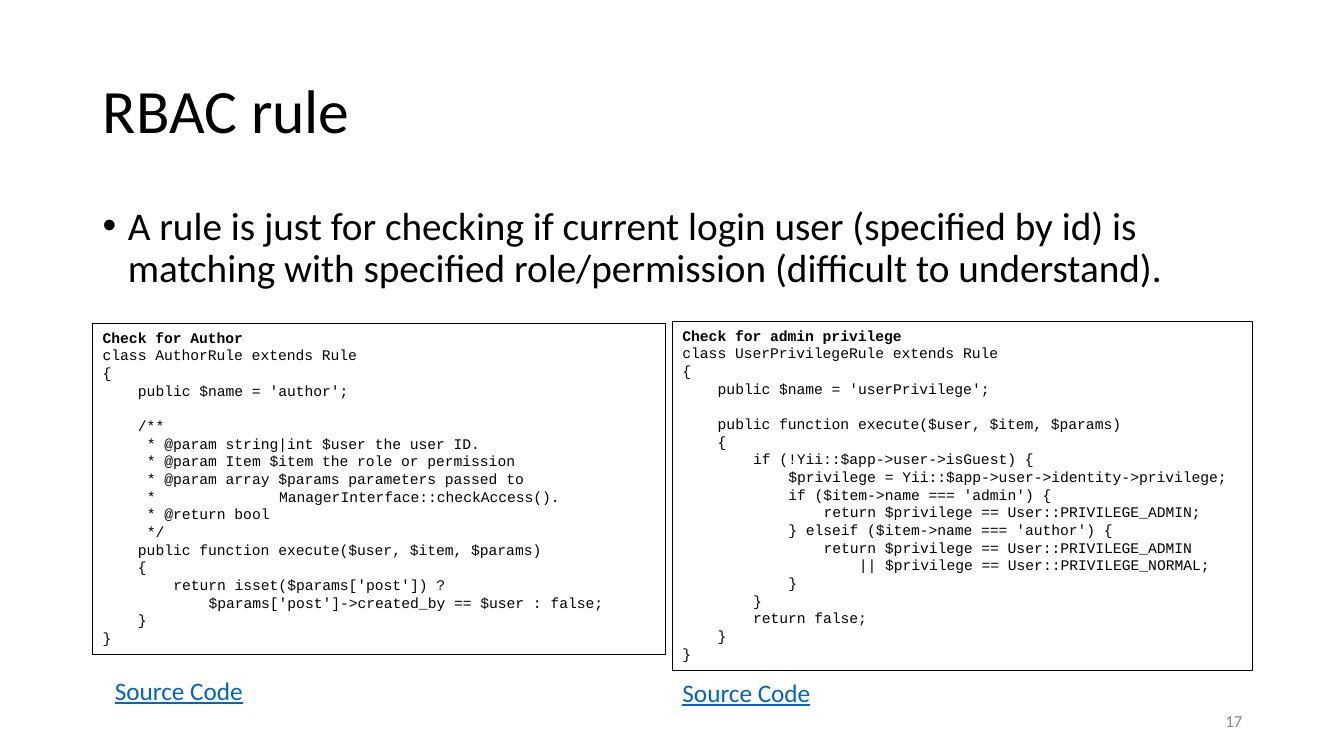
from dataclasses import dataclass
from lxml.etree import SubElement
from pptx import Presentation
from pptx.dml.color import RGBColor as RGB
from pptx.enum.shapes import MSO_SHAPE as Shape
from pptx.enum.text import MSO_ANCHOR as Anchor, PP_ALIGN as Align
from pptx.oxml.ns import qn
from pptx.util import Inches, Pt


@dataclass(frozen=True)
class Theme:
    body: str = "Calibri"
    mono: str = "Courier New"
    ink: RGB = RGB(0, 0, 0)
    link: RGB = RGB(0x05, 0x63, 0xC1)
    grey: RGB = RGB(0x8C, 0x8C, 0x8C)
    title: float = 44
    text: float = 28
    label: float = 18
    foot: float = 12
    code: float = 10.5
    pitch: float = 12.6  # code line height
    step: float = 6.3    # code character width


THEME = Theme()

AUTHOR = """\
Check for Author
class AuthorRule extends Rule
{
    public $name = 'author';

    /**
     * @param string|int $user the user ID.
     * @param Item $item the role or permission
     * @param array $params parameters passed to
     *              ManagerInterface::checkAccess().
     * @return bool
     */
    public function execute($user, $item, $params)
    {
        return isset($params['post']) ?
            $params['post']->created_by == $user : false;
    }
}"""

ADMIN = """\
Check for admin privilege
class UserPrivilegeRule extends Rule
{
    public $name = 'userPrivilege';

    public function execute($user, $item, $params)
    {
        if (!Yii::$app->user->isGuest) {
            $privilege = Yii::$app->user->identity->privilege;
            if ($item->name === 'admin') {
                return $privilege == User::PRIVILEGE_ADMIN;
            } elseif ($item->name === 'author') {
                return $privilege == User::PRIVILEGE_ADMIN
                    || $privilege == User::PRIVILEGE_NORMAL;
            }
        }
        return false;
    }
}"""


def style(para, size, color, face=THEME.body):
    font = para.font
    font.name, font.size = face, Pt(size)
    font.color.rgb = color


def indent(para, left, first=0):
    props = para._p.get_or_add_pPr()
    props.set("marL", str(int(left)))
    props.set("indent", str(int(first)))
    return props


def add_text(slide, box, text, size, color, anchor=Anchor.TOP):
    """Place one paragraph in a wrapping text box and return it."""
    frame = slide.shapes.add_textbox(*map(Inches, box)).text_frame
    frame.word_wrap = True
    frame.vertical_anchor = anchor
    para = frame.paragraphs[0]
    para.text = text
    style(para, size, color)
    return para


def add_title(slide, box, text):
    para = add_text(slide, box, text, THEME.title, THEME.ink, Anchor.MIDDLE)
    para.line_spacing = 0.9


def add_point(slide, box, text):
    para = add_text(slide, box, text, THEME.text, THEME.ink)
    para.line_spacing = 0.9
    props = indent(para, Inches(0.25), -Inches(0.25))
    SubElement(props, qn("a:buFont")).set("typeface", "Arial")
    SubElement(props, qn("a:buChar")).set("char", "•")


def add_code(slide, box, code):
    """Frame a listing; leading spaces become paragraph indents."""
    rect = slide.shapes.add_shape(Shape.RECTANGLE, *map(Inches, box))
    rect.shadow.inherit = False
    rect.fill.background()
    rect.line.color.rgb = THEME.ink
    rect.line.width = Pt(0.75)
    frame = rect.text_frame
    frame.word_wrap = True
    frame.vertical_anchor = Anchor.TOP

    para, gap = None, 0
    for line in code.splitlines():
        text = line.lstrip()
        if not text:
            gap = THEME.pitch
            continue
        first = para is None
        para = frame.paragraphs[0] if first else frame.add_paragraph()
        depth = left = len(line) - len(text)
        # A wide inner gap becomes a hanging indent with a tab
        head, wide, tail = text.partition("  ")
        if wide:
            tail = tail.lstrip()
            left = len(line) - len(tail)
            text = head + "\t" + tail
        para.text = text
        para.alignment = Align.LEFT
        para.line_spacing = Pt(THEME.pitch)
        para.space_before = Pt(gap)
        indent(para, Pt(left * THEME.step), Pt((depth - left) * THEME.step))
        style(para, THEME.code, THEME.ink, THEME.mono)
        para.font.bold = first
        gap = 0


def add_label(slide, box, text):
    para = add_text(slide, box, text, THEME.label, THEME.link)
    para.font.underline = True


def add_number(slide, box, text):
    para = add_text(slide, box, text, THEME.foot, THEME.grey, Anchor.MIDDLE)
    para.alignment = Align.RIGHT


def main():
    deck = Presentation()
    deck.slide_width, deck.slide_height = Inches(13.33), Inches(7.5)
    slide = deck.slides.add_slide(deck.slide_layouts[6])

    # Heading and statement
    add_title(slide, (0.92, 0.4, 11.5, 1.45), "RBAC rule")
    add_point(slide, (0.92, 2, 11.5, 1.06),
              "A rule is just for checking if current login user (specified "
              "by id) is matching with specified role/permission (difficult "
              "to understand).")

    # Listings with their labels
    add_code(slide, (0.92, 3.21, 5.68, 3.28), AUTHOR)
    add_code(slide, (6.67, 3.19, 5.75, 3.46), ADMIN)
    for left, top in ((1.04, 6.65), (6.67, 6.67)):
        add_label(slide, (left, top, 1.71, 0.4), "Source Code")

    # Page number
    add_number(slide, (9.42, 6.95, 3, 0.4), "17")
    deck.save("out.pptx")


if __name__ == "__main__":
    main()
